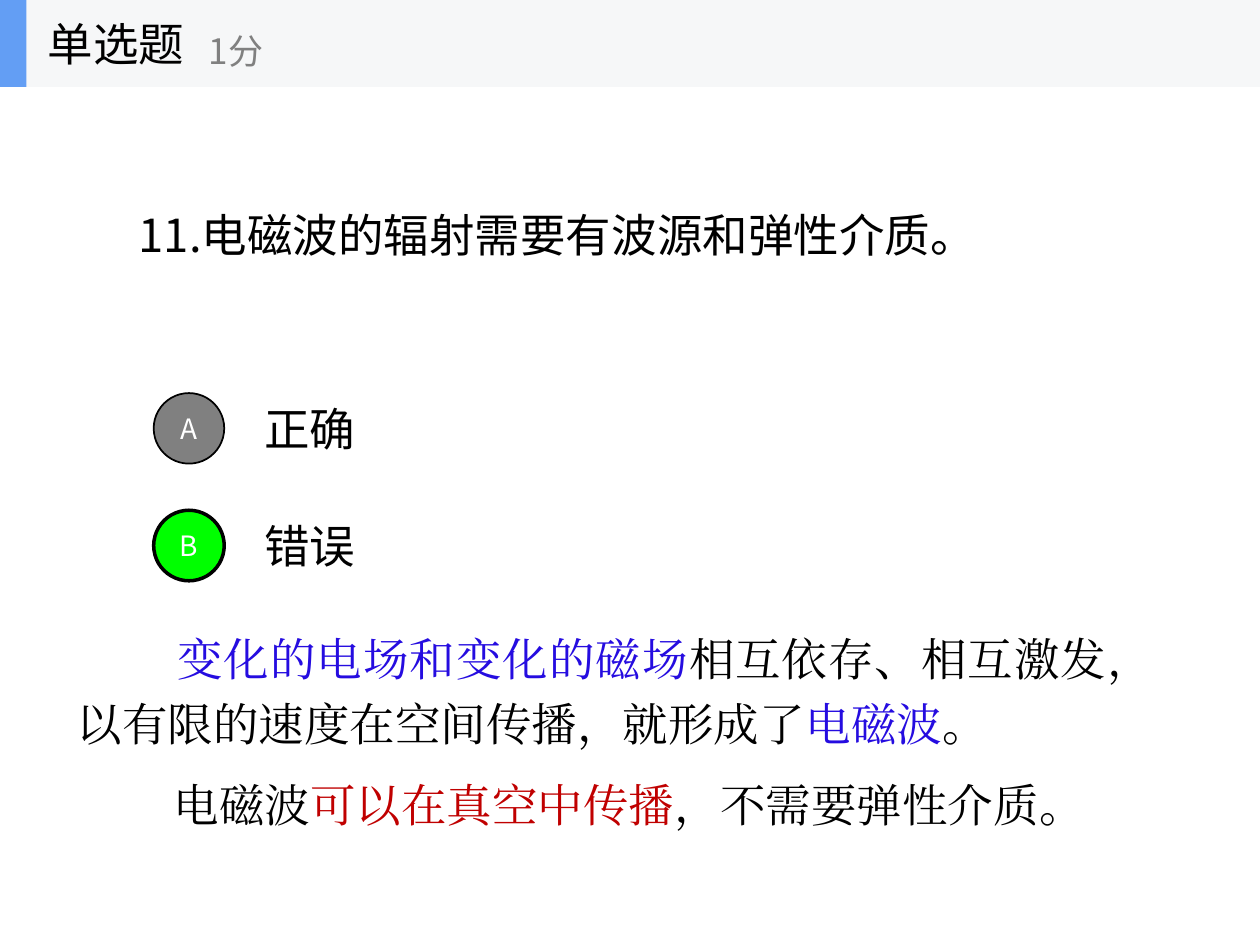
from lxml import etree
from pptx import Presentation
from pptx.dml.color import RGBColor
from pptx.enum.shapes import MSO_SHAPE
from pptx.enum.text import MSO_ANCHOR, MSO_AUTO_SIZE, PP_ALIGN
from pptx.oxml.ns import qn
from pptx.util import Inches, Pt

RECTANGLE, OVAL = MSO_SHAPE.RECTANGLE, MSO_SHAPE.OVAL
TOP, MIDDLE = MSO_ANCHOR.TOP, MSO_ANCHOR.MIDDLE
LEFT, CENTER, JUSTIFY = PP_ALIGN.LEFT, PP_ALIGN.CENTER, PP_ALIGN.JUSTIFY
FIXED, GROW = MSO_AUTO_SIZE.NONE, MSO_AUTO_SIZE.SHAPE_TO_FIT_TEXT

COLUMNS, ROWS = 10, 7.5
COLUMN = ROW = Inches(1)
SANS, SERIF = "Noto Sans CJK SC", "Times New Roman"
COLORS = {
    "black": "000000", "white": "FFFFFF", "gray": "808080", "green": "00FF00",
    "band": "F6F7F8", "accent": "639EF4", "blue": "250CE0", "red": "C00000",
}


def color(name):
    return RGBColor.from_string(COLORS[name])


def grid(left, top, width, height):
    return (round(left * COLUMN), round(top * ROW),
            round(width * COLUMN), round(height * ROW))


def apply(target, values):
    for name, value in values.items():
        setattr(target, name, value)


def write(shape, runs, size=26, font=SANS, frame=None, paragraph=None, indent=0):
    text_frame = shape.text_frame
    apply(text_frame, {"word_wrap": True, "auto_size": FIXED,
                       "vertical_anchor": MIDDLE, **(frame or {})})
    line = text_frame.paragraphs[0]
    apply(line, {"alignment": LEFT, **(paragraph or {})})
    if indent:
        line._p.get_or_add_pPr().set("indent", str(Inches(indent)))
    for text, tone in runs:
        run = line.add_run()
        run.text = text
        apply(run.font, {"size": Pt(size), "name": font})
        run.font.color.rgb = color(tone)
        east_asian = etree.SubElement(run._r.get_or_add_rPr(), qn("a:ea"))
        east_asian.set("typeface", font)


def add_block(shapes, kind, box, fill, border=0):
    block = shapes.add_shape(kind, *grid(*box))
    block.shadow.inherit = False
    block.fill.solid()
    block.fill.fore_color.rgb = color(fill)
    if border:
        block.line.width = Pt(border)
        block.line.color.rgb = color("black")
    else:
        block.line.fill.background()
    return block


def add_header(slide, box):
    left, top, width, height = box
    header = slide.shapes.add_group_shape().shapes
    add_block(header, RECTANGLE, box, "band")
    add_block(header, RECTANGLE, (left, top, 0.21, height), "accent")
    labels = [
        ("单选题", "black", 26, (left + 0.28, top, 2.08, height)),
        ("1分", "gray", 20, (left + 1.56, top + 0.12, 2.5, 0.56)),
    ]
    for text, tone, size, place in labels:
        label = header.add_textbox(*grid(*place))
        write(label, [(text, tone)], size, frame={"word_wrap": False})


def add_question(slide, box):
    question = slide.shapes.title
    apply(question, dict(zip(("left", "top", "width", "height"), grid(*box))))
    write(question, [("11.电磁波的辐射需要有波源和弹性介质。", "black")])


def add_options(slide, box, options):
    left, top, width, pitch = box
    badge, height, gutter = 0.56, 0.7, 0.78
    for index, (letter, answer, fill, border) in enumerate(options):
        row = top + index * pitch
        text = slide.shapes.add_textbox(*grid(left + gutter, row, width - gutter, height))
        write(text, [(answer, "black")])
        circle = add_block(slide.shapes, OVAL,
                           (left, row + (height - badge) / 2, badge, badge), fill, border)
        write(circle, [(letter, "white")], 16, paragraph={"alignment": CENTER})


def add_explanation(slide, box, runs, wrap, indent=0):
    explanation = slide.shapes.add_textbox(*grid(*box))
    write(explanation, runs, font=SERIF, indent=indent,
          frame={"word_wrap": wrap, "auto_size": GROW, "vertical_anchor": TOP},
          paragraph={"alignment": JUSTIFY, "line_spacing": 1.2})


def main():
    deck = Presentation()
    deck.slide_width, deck.slide_height = round(COLUMNS * COLUMN), round(ROWS * ROW)
    slide = deck.slides.add_slide(deck.slide_layouts.get_by_name("Title Only"))
    add_options(slide, (1.22, 3.05, 7.78, 0.93), [
        ("A", "正确", "gray", 1),
        ("B", "错误", "green", 2),
    ])
    add_header(slide, (0, 0, COLUMNS, 0.69))
    add_question(slide, (1, 0.69, 8, 2.34))
    add_explanation(slide, (1.28, 6.03, 7.43, 0.62), [
        ("电磁波", "black"),
        ("可以在真空中传播", "red"),
        ("，不需要弹性介质。", "black"),
    ], wrap=False)
    add_explanation(slide, (0.51, 4.87, 8.74, 1.14), [
        ("变化的电场和变化的磁场", "blue"),
        ("相互依存、相互激发，以有限的速度在空间传播，就形成了", "black"),
        ("电磁波", "blue"),
        ("。", "black"),
    ], wrap=True, indent=0.8)
    deck.save("out.pptx")


if __name__ == "__main__":
    main()
